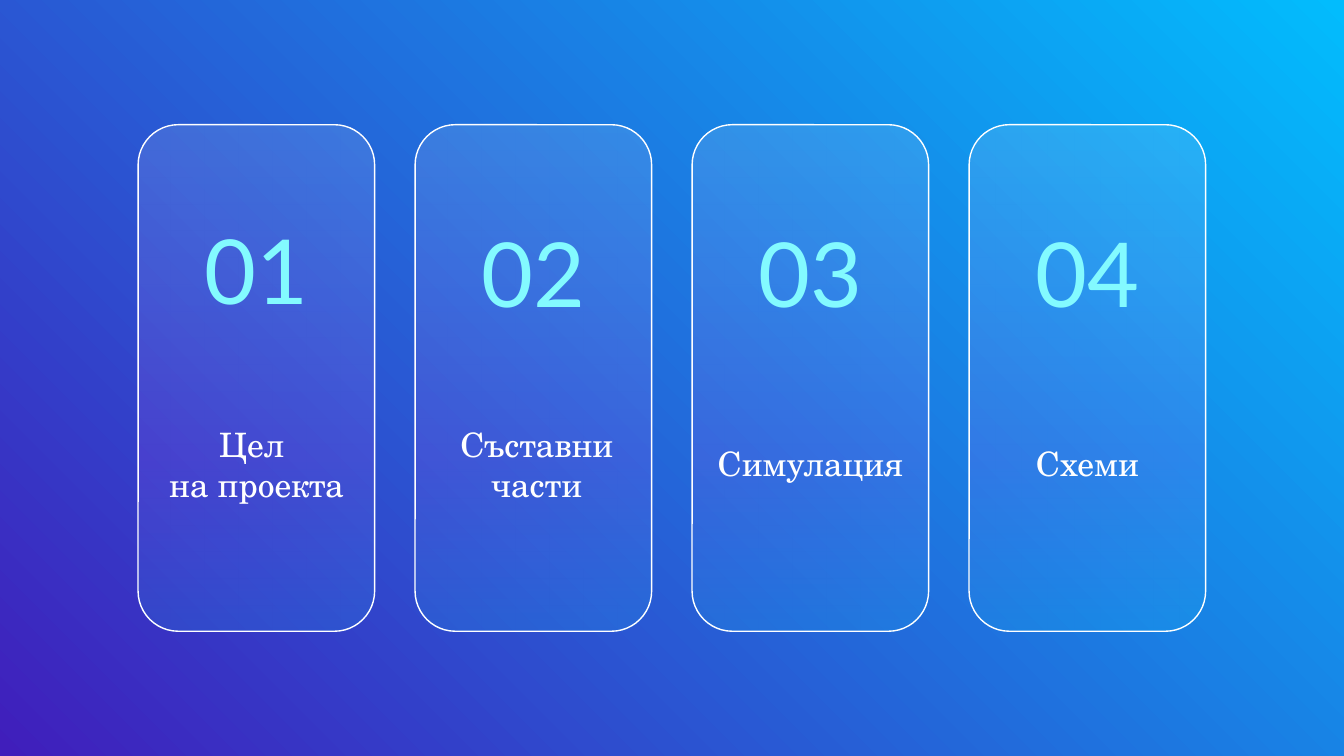
from lxml.etree import SubElement
from pptx import Presentation
from pptx.dml.color import RGBColor
from pptx.enum.shapes import MSO_SHAPE
from pptx.enum.text import MSO_ANCHOR, PP_ALIGN
from pptx.oxml.ns import qn
from pptx.util import Inches, Pt

WHITE = RGBColor(0xFF, 0xFF, 0xFF)
AQUA = RGBColor(0x83, 0xFA, 0xFF)
INDIGO = RGBColor(0x40, 0x1E, 0xBB)
SKY = RGBColor(0x02, 0xBC, 0xFD)
ORCHID = RGBColor(0xE3, 0x54, 0xF7)
CYAN = RGBColor(0x10, 0xEC, 0xFF)

SECTIONS = [
    ("01", "Цел \vна проекта", 23.85, 57.1, 0),
    ("02", "Съставни части", 24.2, 57.1, 0.25),
    ("03", "Симулация", 24.2, 54.25, 0),
    ("04", "Схеми", 24.2, 54.25, 0),
]
FIRST_CARD, CARD_PITCH, CARD_WIDTH = 10.28, 20.61, 17.6
NUMBER_WIDTH, LABEL_WIDTH = 15.5, 17.1


def write_text(frame, text, *, font, size, color):
    frame.word_wrap = True
    frame.vertical_anchor = MSO_ANCHOR.BOTTOM
    frame.margin_left = frame.margin_right = Inches(0.1)
    frame.margin_top = frame.margin_bottom = Inches(0.1)
    paragraph = frame.paragraphs[0]
    paragraph.text = text
    paragraph.alignment = PP_ALIGN.CENTER
    paragraph.font.name = font
    paragraph.font.size = Pt(size)
    paragraph.font.color.rgb = color


class AgendaSlide:
    """Style and drawing methods on a grid of 100 columns by 100 rows."""

    number_style = {"font": "Lato", "size": 48, "color": AQUA}
    label_style = {"font": "TeX Gyre Schola", "size": 18, "color": WHITE}

    def __init__(self, deck):
        self.column = deck.slide_width / 100
        self.row = deck.slide_height / 100
        self.slide = deck.slides.add_slide(deck.slide_layouts[6])

    def area(self, left, top, width, height):
        return (round(left * self.column), round(top * self.row),
                round(width * self.column), round(height * self.row))

    def gradient(self, fill, owner, stops, angle, opacity=100):
        fill.gradient()
        fill.gradient_angle = angle
        stop_list = next(owner.iter(qn("a:gsLst")))
        stop_list.clear()
        for position, color in stops:
            stop = SubElement(stop_list, qn("a:gs"), pos=str(position * 1000))
            tint = SubElement(stop, qn("a:srgbClr"), val=str(color))
            SubElement(tint, qn("a:alpha"), val=str(opacity * 1000))

    def backdrop(self):
        self.gradient(self.slide.background.fill, self.slide.element,
                      [(0, INDIGO), (100, SKY)], angle=45)

    def card(self, left):
        card = self.slide.shapes.add_shape(
            MSO_SHAPE.ROUNDED_RECTANGLE, *self.area(left, 16.5, CARD_WIDTH, 67))
        card.adjustments[0] = 0.17
        card.shadow.inherit = False
        self.gradient(card.fill, card.element,
                      [(0, WHITE), (66, ORCHID), (100, CYAN)], angle=270, opacity=11)
        card.line.color.rgb = WHITE
        card.line.width = Pt(0.75)

    def caption(self, text, center, top, width, height, style):
        box = self.slide.shapes.add_textbox(
            *self.area(center - width / 2, top, width, height))
        write_text(box.text_frame, text, **style)


def main():
    deck = Presentation()
    deck.slide_width, deck.slide_height = Inches(10), Inches(5.625)
    agenda = AgendaSlide(deck)
    agenda.backdrop()
    for index, (number, label, number_top, label_top, shift) in enumerate(SECTIONS):
        left = FIRST_CARD + index * CARD_PITCH
        center = left + CARD_WIDTH / 2
        agenda.card(left)
        agenda.caption(number, center, number_top, NUMBER_WIDTH, 20.6,
                       agenda.number_style)
        agenda.caption(label, center + shift, label_top, LABEL_WIDTH, 11.4,
                       agenda.label_style)
    deck.save("out.pptx")


if __name__ == "__main__":
    main()
